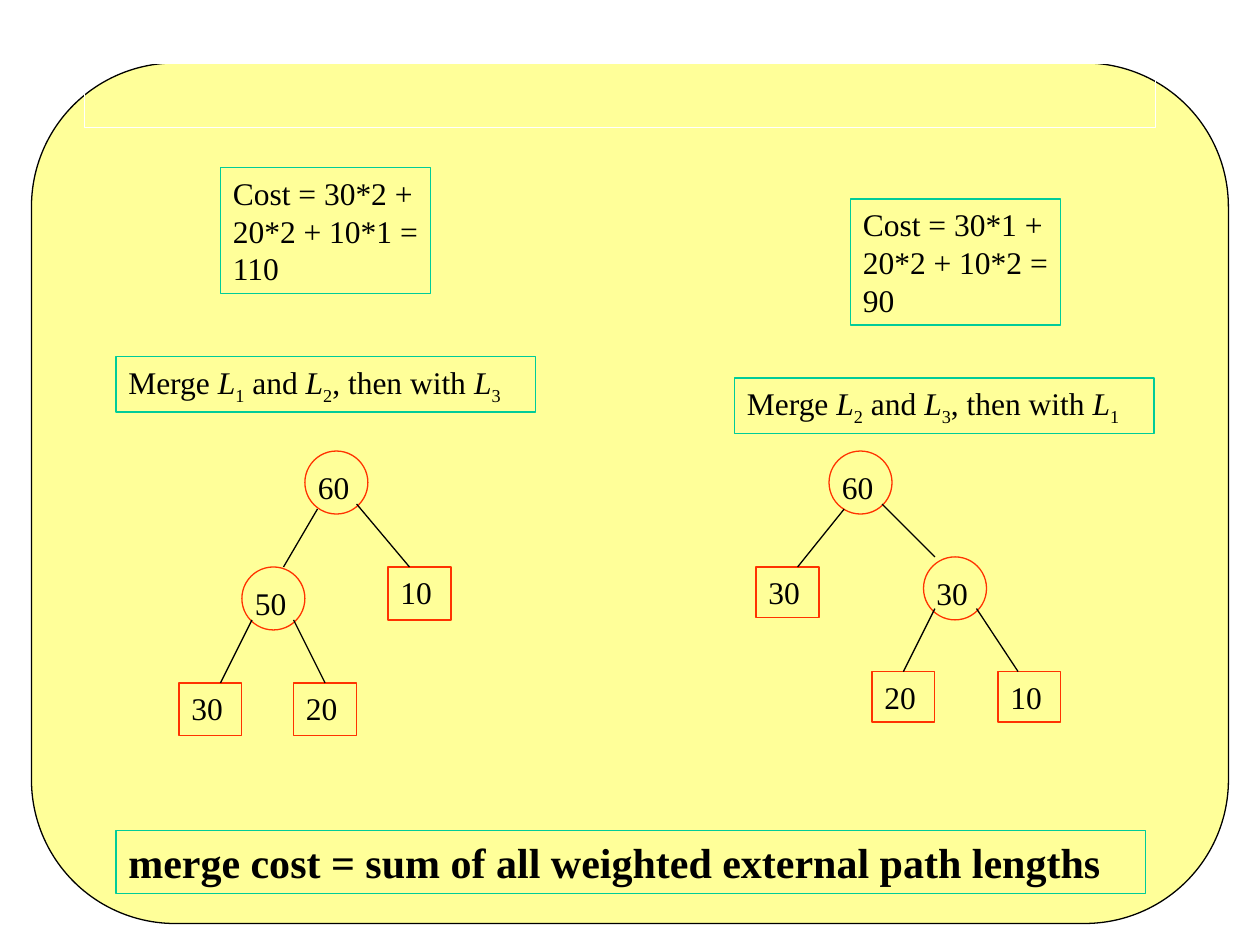
from typing import NamedTuple

from lxml import etree
from pptx import Presentation
from pptx.dml.color import RGBColor
from pptx.enum import shapes as s, text as t
from pptx.oxml import ns
from pptx.util import Inches, Pt

FONT = "Times New Roman"
BLACK, WHITE, CREAM, RED, TEAL = "000000", "FFFFFF", "FFFF99", "FF3300", "00CC99"
RECT, OVAL, ROUND = (s.MSO_SHAPE.RECTANGLE, s.MSO_SHAPE.OVAL,
                     s.MSO_SHAPE.ROUNDED_RECTANGLE)


class Run(NamedTuple):
    text: str
    size: int = 18
    bold: bool = False
    ital: bool = False
    sub: bool = False


class Note(NamedTuple):
    x: float
    y: float
    w: float
    h: float
    runs: list[Run]


class Node(NamedTuple):
    x: float
    y: float
    val: str


class Edge(NamedTuple):
    x1: float
    y1: float
    x2: float
    y2: float


class Tree(NamedTuple):
    leaf_h: float
    sums: list[Node]
    leaves: list[Node]
    edges: list[Edge]


def rgb(hue: str) -> RGBColor:
    return RGBColor.from_string(hue)


def merge(one: str, two: str, last: str) -> list[Run]:
    """Label for a merge order, with list numbers as subscripts."""
    runs = []
    for lead, num in (("Merge ", one), (" and ", two), (", then with ", last)):
        runs += [Run(lead), Run("L", ital=True), Run(num, sub=True)]
    return runs


def add_box(slide, kind, x: float, y: float, w: float, h: float,
            line: str, fill: str | None = None):
    box = slide.shapes.add_shape(kind, Inches(x), Inches(y), Inches(w), Inches(h))
    box.shadow.inherit = False
    if fill:
        box.fill.solid()
        box.fill.fore_color.rgb = rgb(fill)
    else:
        box.fill.background()
    box.line.color.rgb = rgb(line)
    box.line.width = Pt(0.75)
    return box


def add_text(box, runs: list[Run]) -> None:
    frame = box.text_frame
    frame.word_wrap = True
    frame.vertical_anchor = t.MSO_ANCHOR.TOP
    para = frame.paragraphs[0]
    para.alignment = t.PP_ALIGN.LEFT
    for item in runs:
        run = para.add_run()
        run.text = item.text
        font = run.font
        font.name, font.size = FONT, Pt(item.size)
        font.bold, font.italic = item.bold, item.ital
        font.color.rgb = rgb(BLACK)
        if item.sub:
            run._r.get_or_add_rPr().set("baseline", "-25000")


def add_edge(slide, edge: Edge) -> None:
    line = slide.shapes.add_connector(s.MSO_CONNECTOR.STRAIGHT,
                                      *(Inches(v) for v in edge))
    line.line.color.rgb = rgb(BLACK)
    line.line.width = Pt(0.75)
    etree.SubElement(line._element.spPr, ns.qn("a:effectLst"))


def add_tree(slide, tree: Tree) -> None:
    for node in tree.leaves:
        box = add_box(slide, RECT, node.x, node.y, 0.5, tree.leaf_h, RED)
        add_text(box, [Run(node.val)])
    for node in tree.sums:
        box = add_box(slide, OVAL, node.x, node.y, 0.5, 0.5, RED)
        add_text(box, [Run(node.val)])
        # Values sit slightly below the centre of each circle
        frame = box.text_frame
        frame.vertical_anchor = t.MSO_ANCHOR.MIDDLE
        frame.margin_left, frame.margin_top = Inches(0.03), Inches(0.07)
        frame.margin_right = frame.margin_bottom = 0
    for edge in tree.edges:
        add_edge(slide, edge)


TREES = [
    Tree(0.42,
         [Node(2.42, 3.58, "60"), Node(1.92, 4.5, "50")],
         [Node(3.08, 4.5, "10"), Node(1.42, 5.42, "30"), Node(2.33, 5.42, "20")],
         [Edge(2.52, 4.04, 2.25, 4.5), Edge(2.83, 4, 3.25, 4.5),
          Edge(2, 4.92, 1.75, 5.42), Edge(2.33, 4.92, 2.58, 5.42)]),
    Tree(0.4,
         [Node(6.58, 3.58, "60"), Node(7.33, 4.42, "30")],
         [Node(6, 4.5, "30"), Node(6.92, 5.33, "20"), Node(7.92, 5.33, "10")],
         [Edge(6.7, 4.04, 6.33, 4.5), Edge(7, 4, 7.42, 4.42),
          Edge(7.42, 4.83, 7.17, 5.33), Edge(7.75, 4.83, 8.08, 5.33)]),
]

NOTES = [
    Note(1.75, 1.33, 1.67, 1, [Run("Cost = 30*2 + 20*2 + 10*1 = 110")]),
    Note(6.75, 1.58, 1.67, 1, [Run("Cost = 30*1 + 20*2 + 10*2 = 90")]),
    Note(0.92, 2.83, 3.33, 0.44, merge("1", "2", "3")),
    Note(5.83, 3, 3.33, 0.44, merge("2", "3", "1")),
    Note(0.92, 6.59, 8.17, 0.5,
         [Run("merge cost = sum of all weighted external path lengths", 24, True)]),
]


def main() -> None:
    prs = Presentation()
    prs.slide_width, prs.slide_height = Inches(10), Inches(7.5)
    slide = prs.slides.add_slide(prs.slide_layouts[6])

    # Panel and white header frame
    panel = add_box(slide, ROUND, 0.25, 0.5, 9.5, 6.83, BLACK, CREAM)
    panel.adjustments[0] = 0.167
    add_box(slide, RECT, 0.67, 0.5, 8.5, 0.51, WHITE)

    # Merge trees
    for tree in TREES:
        add_tree(slide, tree)

    # Costs, merge orders and conclusion
    for note in NOTES:
        box = add_box(slide, RECT, note.x, note.y, note.w, note.h, TEAL)
        add_text(box, note.runs)

    prs.save("out.pptx")


if __name__ == "__main__":
    main()
